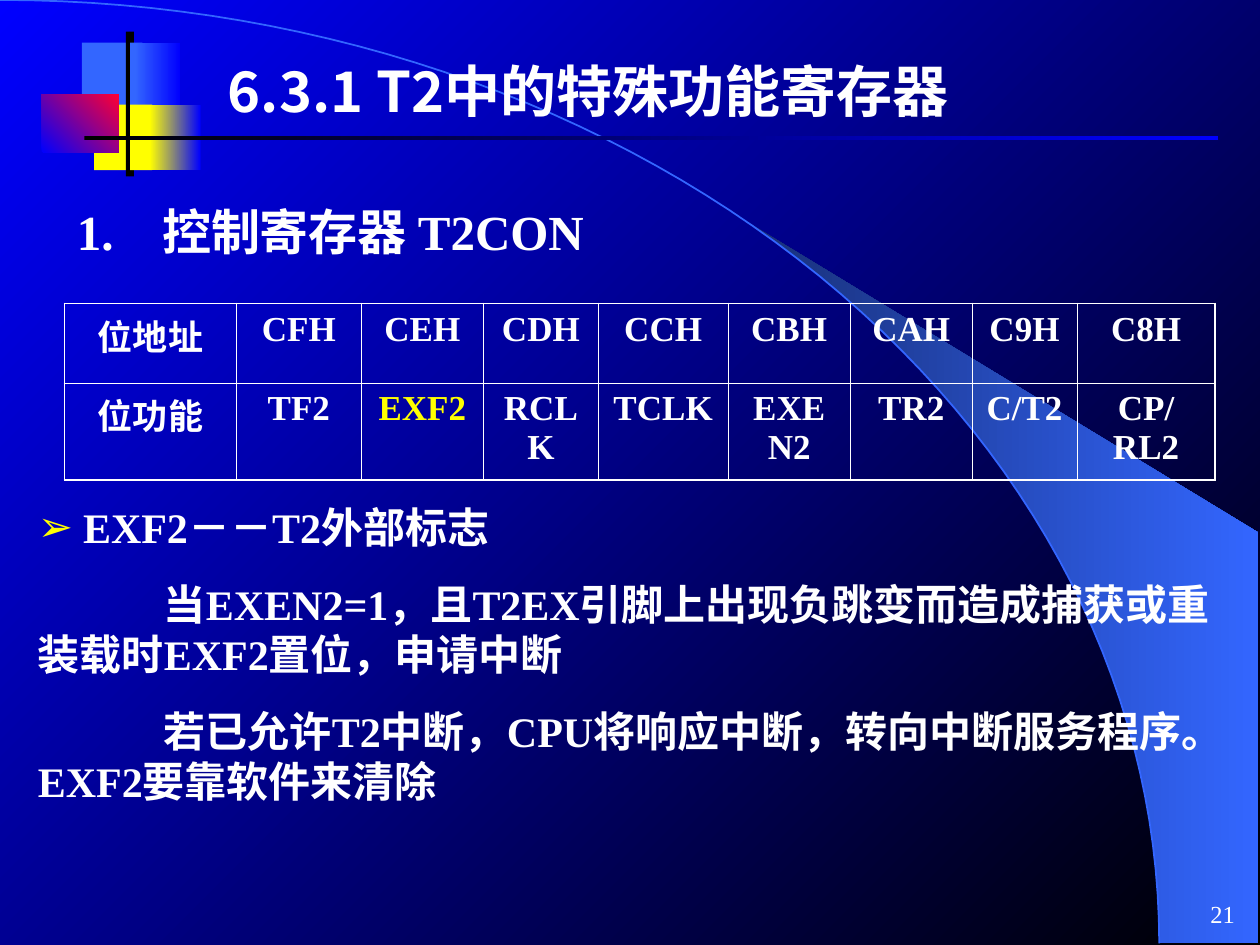
import math

import pptx
import pptx.dml.color
import pptx.enum.shapes
import pptx.enum.text
import pptx.oxml
import pptx.oxml.ns
import pptx.util

Cm, Pt = pptx.util.Cm, pptx.util.Pt
ALIGN = pptx.enum.text.PP_ALIGN
ANCHOR = pptx.enum.text.MSO_ANCHOR
HUES = {"white": "FFFFFF", "black": "000000", "blue": "0000FF", "sky": "3366FF",
        "navy": "182F76", "yellow": "FFFF00", "red": "FF0033"}
SERIF, SANS = "Times New Roman", "Noto Sans CJK SC"
ARC = (23.37, 19.02)  # radii of the big curve, in cm

# Left, top, width, height in cm, colours, clockwise angle
DECOR = [
    (2.62, 0.64, 0.08, 2.92, ["black"], 0),
    (1.65, 0.86, 1.22, 1.32, ["sky"], 0),
    (2.72, 0.86, 0.91, 1.32, ["sky", "blue"], 0),
    (1.9, 2.11, 1.17, 1.32, ["yellow"], 0),
    (3.02, 2.11, 1.02, 1.32, ["yellow", "blue"], 0),
    (0.84, 1.9, 1.55, 1.17, ["blue", "red"], 315),
    (2.54, 0.64, 0.08, 2.92, ["black"], 0),
    (1.7, 2.74, 22.86, 0.08, ["black", "blue"], 0),
]
WIDTHS = [3.47, 2.51, 2.47, 2.31, 2.62, 2.46, 2.46, 2.11, 2.79]
HEIGHTS = [1.6, 1.96]
ROWS = [
    ["位地址", "CFH", "CEH", "CDH", "CCH", "CBH", "CAH", "C9H", "C8H"],
    ["位功能", "TF2", "EXF2", "RCLK", "TCLK", "EXEN2", "TR2", "C/T2", "CP/RL2"],
]
NOTES = [
    "EXF2－－T2外部标志",
    "当EXEN2=1，且T2EX引脚上出现负跳变而造成捕获或重装载时EXF2置位，申请中断",
    "若已允许T2中断，CPU将响应中断，转向中断服务程序。EXF2要靠软件来清除",
]


def rgb(name):
    return pptx.dml.color.RGBColor.from_string(HUES[name])


def node(tag, inner="", **attrs):
    text = " ".join(f'{key}="{val}"' for key, val in attrs.items())
    space = pptx.oxml.ns.nsdecls("a")
    return pptx.oxml.parse_xml(f"<a:{tag} {space} {text}>{inner}</a:{tag}>")


def paint(fill, names, angle=0):
    if len(names) == 1:
        fill.solid()
        fill.fore_color.rgb = rgb(names[0])
        return
    fill.gradient()
    fill.gradient_angle = -angle % 360
    for stop, name in zip(fill.gradient_stops, names):
        stop.color.rgb = rgb(name)


def style(para, size, face=SERIF, hue="white", bold=True, align=ALIGN.LEFT):
    para.alignment = align
    font = para.font
    font.size, font.name, font.bold = Pt(size), face, bold
    font.color.rgb = rgb(hue)
    base = para._p.pPr.find(pptx.oxml.ns.qn("a:defRPr"))
    base.append(node("ea", typeface=SANS))


def place(shape, left, top, width, height):
    shape.left, shape.top = Cm(left), Cm(top)
    shape.width, shape.height = Cm(width), Cm(height)


def raise_up(shape):
    """Bring a shape in front of all those drawn so far."""
    shape.element.getparent().append(shape.element)


def bend(start):
    """Points on the quarter ellipse, from a start angle to its lower end."""
    steps = 60
    turns = [start + (math.pi / 2 - start) * i / steps for i in range(steps + 1)]
    return [(ARC[0] * math.sin(t), ARC[1] * (1 - math.cos(t))) for t in turns]


def trace(slide, dots, close):
    spots = [(Cm(x), Cm(y)) for x, y in dots]
    path = slide.shapes.build_freeform(*spots[0], scale=1.0)
    path.add_line_segments(spots[1:], close=close)
    shape = path.convert_to_shape()
    shape.shadow.inherit = False
    return shape


def add_decor(slide):
    # Crescent and curve
    fan = trace(slide, bend(0.695) + [(25.37, 19.02), (25.37, 10.74)], True)
    paint(fan.fill, ["navy", "sky"])
    fan.line.fill.background()
    curve = trace(slide, bend(0), False)
    curve.fill.background()
    curve.line.color.rgb = rgb("sky")
    curve.line.width = Pt(1)
    # Squares and bars
    for left, top, width, height, names, angle in DECOR:
        box = slide.shapes.add_shape(
            pptx.enum.shapes.MSO_SHAPE.RECTANGLE,
            Cm(left), Cm(top), Cm(width), Cm(height))
        box.shadow.inherit = False
        box.line.fill.background()
        paint(box.fill, names, angle)


def add_label(slide, spot, text, size, tab=None, **look):
    box = slide.shapes.add_textbox(*map(Cm, spot))
    frame = box.text_frame
    frame.word_wrap = True
    para = frame.paragraphs[0]
    para.text = text
    if tab:
        tabs = node("tabLst")
        tabs.append(node("tab", pos=Cm(tab), algn="l"))
        para._p.get_or_add_pPr().append(tabs)
    style(para, size, **look)
    return frame


def add_edges(cell, row, col):
    outer = {"lnL": col == 0, "lnR": col == len(WIDTHS) - 1,
             "lnT": row == 0, "lnB": row == len(ROWS) - 1}
    ink = f'<a:solidFill><a:srgbClr val="{HUES["white"]}"/></a:solidFill>'
    for tag, thick in outer.items():
        width = Pt(1.08 if thick else 0.45)
        cell._tc.get_or_add_tcPr().append(node(tag, ink, w=width))


def add_grid(slide):
    grid = slide.shapes.add_table(
        len(ROWS), len(WIDTHS), Cm(1.3), Cm(6.12),
        Cm(sum(WIDTHS)), Cm(sum(HEIGHTS))).table
    grid.first_row = grid.horz_banding = False
    for part, width in zip(grid.columns, WIDTHS):
        part.width = Cm(width)
    for part, height in zip(grid.rows, HEIGHTS):
        part.height = Cm(height)
    for row, texts in enumerate(ROWS):
        for col, text in enumerate(texts):
            cell = grid.cell(row, col)
            cell.text = text
            add_edges(cell, row, col)
            cell.fill.background()
            style(cell.text_frame.paragraphs[0], 20, SERIF if col else SANS,
                  "yellow" if text == "EXF2" else "white", align=ALIGN.CENTER)


def add_title(title):
    raise_up(title)
    place(title, 4.34, 0.91, 17.75, 1.8)
    frame = title.text_frame
    frame.text = "6.3.1 T2中的特殊功能寄存器"
    frame.vertical_anchor = ANCHOR.MIDDLE
    style(frame.paragraphs[0], 32, SANS)


def add_notes(body):
    raise_up(body)
    place(body, 0.51, 9.98, 24.21, 6.4)
    frame = body.text_frame
    frame.auto_size = pptx.enum.text.MSO_AUTO_SIZE.NONE
    frame.text = "\n".join(NOTES)
    for i, para in enumerate(frame.paragraphs):
        para.space_before = Pt(15 if i else 0)
        props = para._p.get_or_add_pPr()
        if i:
            marks = [node("buNone")]
            left, first = 0, Cm(2.54)
        else:
            hue = f'<a:srgbClr val="{HUES["yellow"]}"/>'
            marks = [node("buClr", hue), node("buChar", char="➢")]
            left, first = Cm(0.91), -Cm(0.91)
        props.set("marL", str(left))
        props.set("indent", str(first))
        props.extend(marks)
        style(para, 24)


def main():
    deck = pptx.Presentation()
    deck.slide_width, deck.slide_height = Cm(25.4), Cm(19.05)
    slide = deck.slides.add_slide(deck.slide_layouts[1])
    paint(slide.background.fill, ["blue", "black"], 45)
    add_decor(slide)

    # Title and section heading
    add_title(slide.shapes.title)
    add_label(slide, (1.3, 3.94, 13.23, 1.45), "1.\t控制寄存器 T2CON", 28, tab=1.72)

    # Register table, notes and page number
    add_grid(slide)
    add_notes(slide.placeholders[1])
    page = add_label(slide, (23.9, 17.78, 1.5, 1.27), "21", 14,
                     bold=False, align=ALIGN.CENTER)
    page.vertical_anchor = ANCHOR.MIDDLE
    deck.save("out.pptx")


if __name__ == "__main__":
    main()
